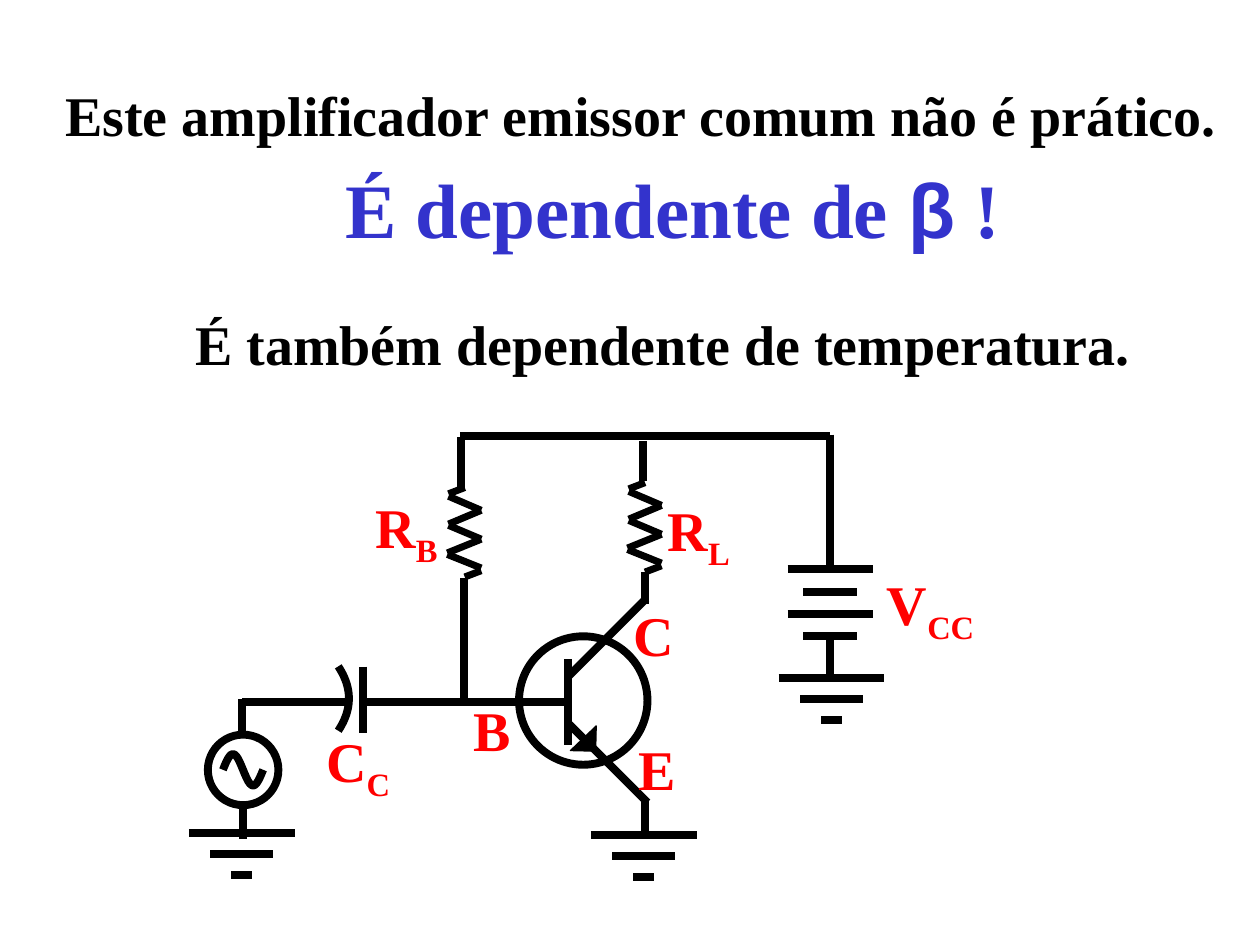
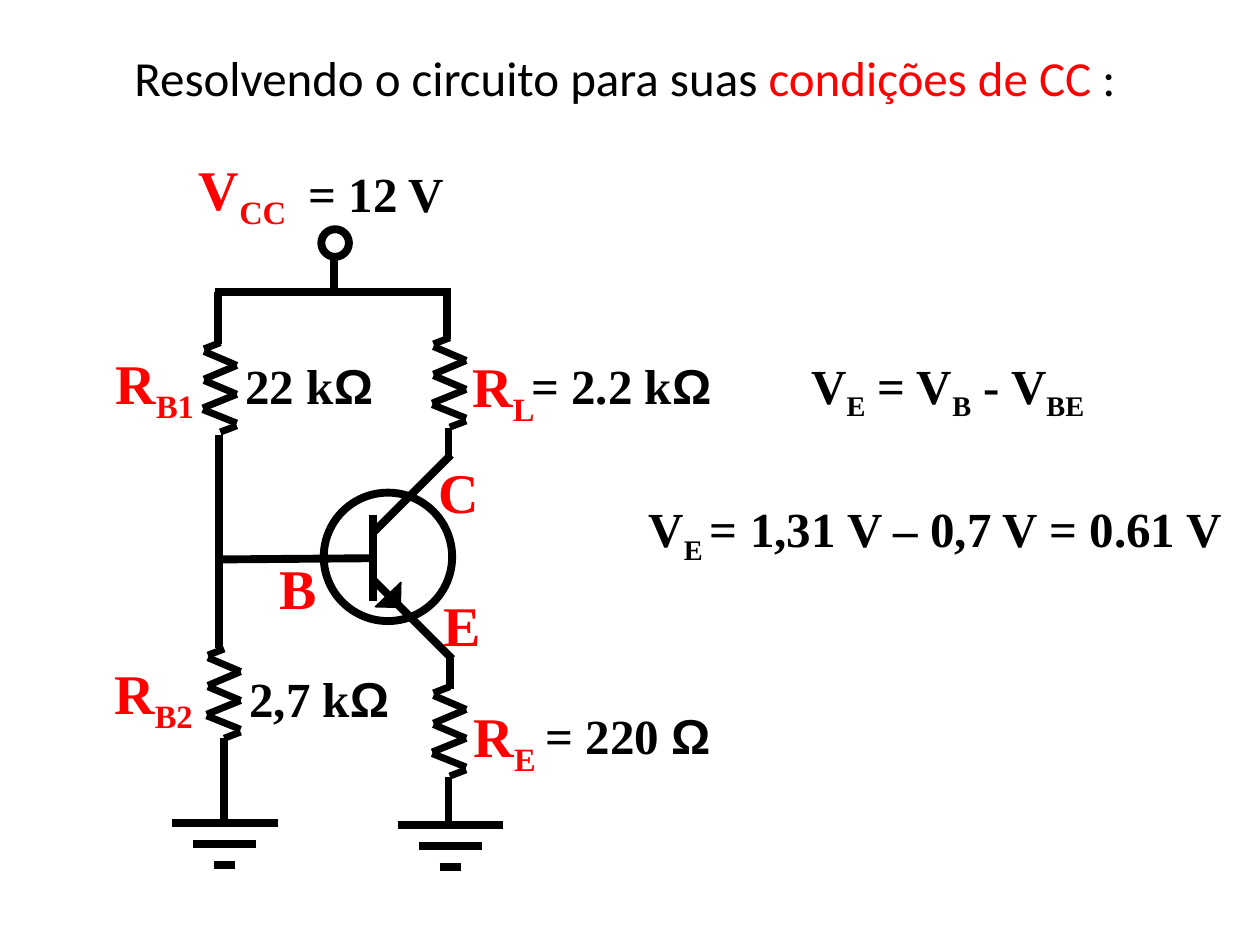
from math import pi, sin

from lxml.etree import SubElement
from pptx import Presentation
from pptx.dml.color import RGBColor
from pptx.enum.shapes import MSO_CONNECTOR as CONNECTOR, MSO_SHAPE as SHAPE
from pptx.enum.text import MSO_AUTO_SIZE as AUTO_SIZE
from pptx.oxml.ns import qn
from pptx.util import Pt

BLACK = RGBColor(0x00, 0x00, 0x00)
RED = RGBColor(0xFF, 0x00, 0x00)
BLUE = RGBColor(0x33, 0x33, 0xCC)
SERIF, SYMBOL, SANS = "Times New Roman", "Arial", "Calibri"
WIRE = 4.5
LABEL_HEIGHT = 41.8

# Symbols as (x1, y1, x2, y2) strokes from their own corner
RESISTOR = [
    (19.4, 13, 0.7, 5), (19.4, 29.5, 0.7, 21.6), (19.4, 46, 0, 38.2),
    (0, 37.4, 19.4, 29.5), (0.7, 20.9, 19.4, 13),
    (0.7, 3.6, 10, 0), (10, 51.1, 19.4, 47.5),
]
GROUND = [(-half, 12 * row, half, 12 * row) for row, half in enumerate((30.2, 18, 6))]
BATTERY = [(-half, 12.75 * row, half, 12.75 * row)
           for row, half in enumerate((24.5, 15.5, 24.5, 15.5))]
TRANSISTOR = [
    (28.8, 50.4, 73.4, 95),      # emitter
    (28.1, 23, 72.7, -21.6),     # collector
    (28.1, 13, 28.1, 61.9),      # base
]


def add_lines(slide, lines, left=0, top=0, width=WIRE):
    for x1, y1, x2, y2 in lines:
        line = slide.shapes.add_connector(
            CONNECTOR.STRAIGHT, Pt(left + x1), Pt(top + y1), Pt(left + x2), Pt(top + y2))
        line.line.color.rgb = BLACK
        line.line.width = Pt(width)
        SubElement(line._element.spPr, qn("a:effectLst"))


def add_text(slide, left, top, width, height, runs, size=32, color=RED, font=SERIF):
    """Runs that start with "_" are subscripts; Greek letters use the symbol font."""
    box = slide.shapes.add_textbox(Pt(left), Pt(top), Pt(width), Pt(height))
    box.text_frame.word_wrap = False
    box.text_frame.auto_size = AUTO_SIZE.SHAPE_TO_FIT_TEXT
    paragraph = box.text_frame.paragraphs[0]
    for text in runs:
        run = paragraph.add_run()
        run.text = text.removeprefix("_")
        run.font.name = SYMBOL if text in "βΩ" else font
        run.font.size = Pt(size)
        run.font.bold = font == SERIF
        run.font.color.rgb = color
        if text.startswith("_"):
            run._r.get_or_add_rPr().set("baseline", "-25000")
    return paragraph


presentation = Presentation()
presentation.slide_width = Pt(720)
presentation.slide_height = Pt(540)

# What each circuit holds, in points
circuits = [
    {
        "transistor": (296.6, 363.6),
        "round": (118.8, 419.8, 40.3),
        "resistors": [(358.6, 275.8), (255.6, 278.6)],
        "grounds": [(367.9, 477.4), (475.2, 387.4), (138.2, 475.9)],
        "wires": [
            (324, 401, 208.8, 401), (265, 330.5, 265, 400.3),
            (368.6, 326.9, 368.6, 344.9), (368.6, 457.9, 368.6, 475.9),
            (474.5, 389.5, 474.5, 365), (262.8, 249.1, 474.5, 249.1),
            (474.5, 248.4, 474.5, 324.7), (263.5, 249.8, 263.5, 279.4),
            (367.2, 275, 367.2, 252), (198, 401, 138.2, 401),
            (138.2, 399.6, 138.2, 418.3), (139, 460.8, 139, 479.5),
        ],
        "labels": [
            (207.4, 277.9, 51.8, ["R", "_B"]), (179.3, 411.8, 53.3, ["C", "_C"]),
            (357.8, 416.2, 36, ["E"]), (263.5, 393.8, 36, ["B"]),
            (355, 339.8, 37.4, ["C"]), (374.4, 279.4, 51.8, ["R", "_L"]),
            (499.7, 321.8, 68.4, ["V", "_CC"]),
        ],
    },
    {
        "transistor": (185, 281.5),
        "round": (183.6, 131, 15.8),
        "resistors": [(247, 193), (115.9, 195.8), (247, 392.4), (118.1, 370.8)],
        "grounds": [(257.4, 471.6), (128.5, 470.2)],
        "wires": [
            (212.4, 319, 124.6, 319.7), (125.3, 248.4, 125.3, 370.1),
            (256.3, 244.8, 256.3, 262.8), (257, 375.8, 257, 393.8),
            (123.1, 167, 257.8, 167), (124.6, 167, 124.6, 196.6),
            (128.2, 421.9, 128.2, 469.4), (190.8, 147.6, 190.8, 168.5),
            (255.6, 193.7, 255.6, 167.8), (256.3, 470.2, 256.3, 444.2),
        ],
        "labels": [
            (59, 195.8, 62.6, ["R", "_B1"]), (246.2, 334.1, 36, ["E"]),
            (152.6, 312.5, 36, ["B"]), (243.4, 257.8, 37.4, ["C"]),
            (262.8, 197.3, 51.8, ["R", "_L"]), (106.6, 85, 68.4, ["V", "_CC"]),
            (58.3, 373, 62.6, ["R", "_B2"]), (263.5, 397.4, 51.8, ["R", "_E"]),
        ],
    },
]

# Parts that both circuits share
slides = []
for circuit in circuits:
    slide = presentation.slides.add_slide(presentation.slide_layouts[6])
    slides.append(slide)
    left, top = circuit["transistor"]

    for x, y, size in [(left, top, 73.4), circuit["round"]]:
        circle = slide.shapes.add_shape(SHAPE.OVAL, Pt(x), Pt(y), Pt(size), Pt(size))
        circle.shadow.inherit = False
        circle.fill.background()
        circle.line.color.rgb = BLACK
        circle.line.width = Pt(WIRE)

    add_lines(slide, TRANSISTOR, left, top)
    arrow = slide.shapes.add_shape(
        SHAPE.RIGHT_TRIANGLE, Pt(left + 29.5), Pt(top + 51.1), Pt(14.4), Pt(14.4))
    arrow.shadow.inherit = False
    arrow.rotation = 91.3
    arrow._element.spPr.xfrm.set("flipH", "1")
    arrow._element.spPr.xfrm.set("flipV", "1")
    arrow.fill.solid()
    arrow.fill.fore_color.rgb = BLACK
    arrow.line.color.rgb = BLACK
    arrow.line.width = Pt(0.75)

    for x, y in circuit["resistors"]:
        add_lines(slide, RESISTOR, x, y, width=4)
    for x, y in circuit["grounds"]:
        add_lines(slide, GROUND, x, y)
    add_lines(slide, circuit["wires"])
    for x, y, width, runs in circuit["labels"]:
        add_text(slide, x, y, width, LABEL_HEIGHT, runs)

amplifier, solution = slides

# Slide 1: battery, capacitor and sine source
add_lines(amplifier, BATTERY, 474.5, 325.4)
add_lines(amplifier, [(207.4, 380.9, 207.4, 419)])
steps = [step / 24 for step in range(25)]
capacitor_plate = [(193.3 + 6.1 * (1 - (2 * t - 1) ** 2), 380.8 + 36.8 * t) for t in steps]
sine_wave = [(127.4 + 23 * t, 439.9 - 9 * sin(2 * pi * t)) for t in steps]
for curve in (capacitor_plate, sine_wave):
    points = [(Pt(x), Pt(y)) for x, y in curve]
    builder = amplifier.shapes.build_freeform(*points[0])
    builder.add_line_segments(points[1:], close=False)
    outline = builder.convert_to_shape()
    outline.shadow.inherit = False
    outline.fill.background()
    outline.line.color.rgb = BLACK
    outline.line.width = Pt(WIRE)

# Slide 1: statements
add_text(amplifier, 190.1, 88.6, 390.2, 54.7, ["É dependente de ", "β", " !"], 44, BLUE)
add_text(amplifier, 30.2, 42.5, 702, 46.1,
         ["Este amplificador emissor comum não é prático."], color=BLACK)
add_text(amplifier, 104.4, 173.5, 553.7, 46.1,
         ["É também dependente de temperatura."], color=BLACK)

# Slide 2: title, values and equations
title = add_text(solution, 69.8, 23.8, 592.6, 41,
                 ["Resolvendo o circuito para suas ", "condições de CC ", ":"], 28, BLACK, SANS)
title.runs[1].font.color.rgb = RED
for x, y, width, height, runs in [
    (304.6, 399.6, 109.4, 37.4, ["= 220 ", "Ω"]),
    (169.2, 90, 92.2, 37.4, ["= 12 V"]),
    (135.4, 378.7, 94.3, 41, ["2,7 k", "Ω"]),
    (133.2, 199.4, 87.8, 37.4, ["22 k", "Ω"]),
    (296.6, 199.4, 118.1, 37.4, ["= 2.2 k", "Ω"]),
    (456.5, 199.4, 178.6, 37.4, ["V", "_E", " = V", "_B", " - V", "_BE"]),
    (363.6, 281.5, 355, 41, ["V", "_E ", "= 1,31 V – 0,7 V = 0.61 V"]),
]:
    add_text(solution, x, y, width, height, runs, 28, BLACK)

presentation.save("out.pptx")
